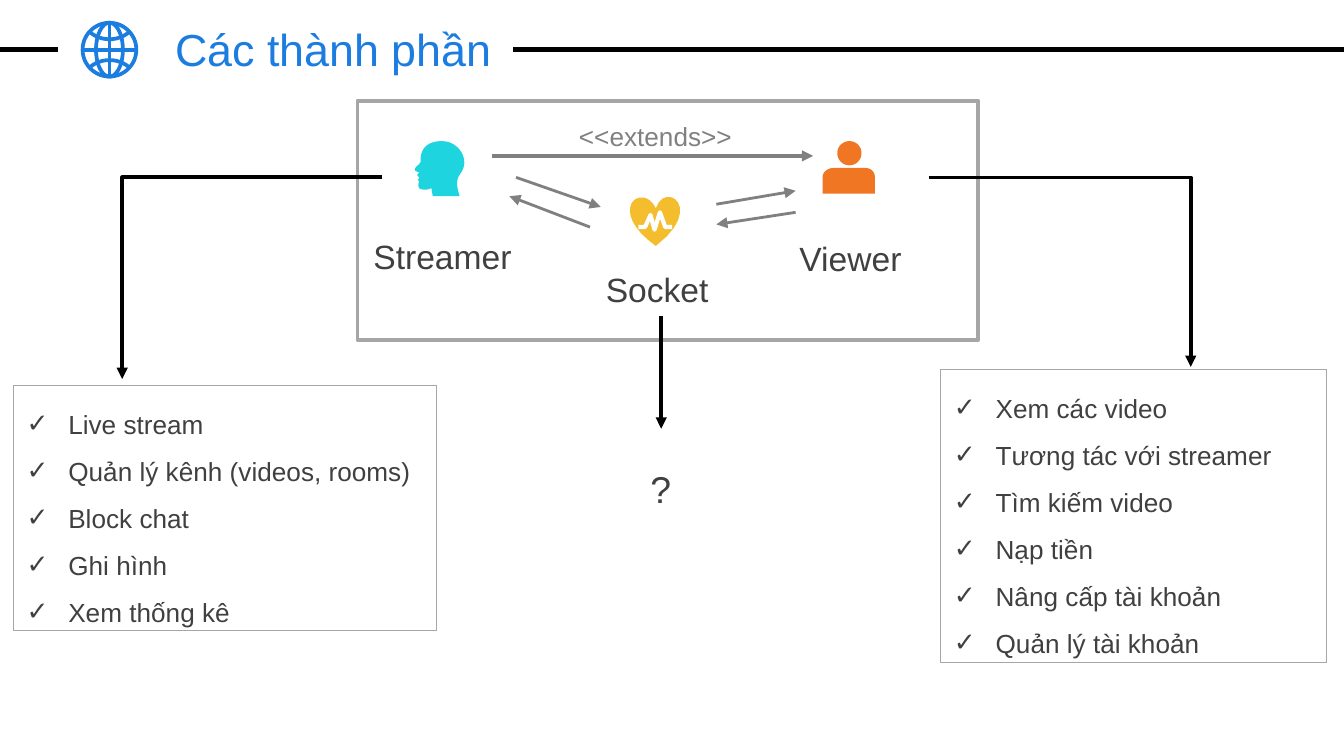
from math import cos, pi, sin

from lxml.etree import SubElement
from pptx import Presentation
from pptx.dml.color import RGBColor
from pptx.enum.shapes import MSO_CONNECTOR, MSO_SHAPE
from pptx.enum.text import MSO_ANCHOR, PP_ALIGN
from pptx.oxml.ns import qn
from pptx.util import Pt

PX = 9144  # 100 px to the inch
BLACK = RGBColor(0x00, 0x00, 0x00)
WHITE = RGBColor(0xFF, 0xFF, 0xFF)
BLUE = RGBColor(0x1C, 0x7D, 0xE1)
CYAN = RGBColor(0x1E, 0xD4, 0xDE)
ORANGE = RGBColor(0xF0, 0x76, 0x24)
YELLOW = RGBColor(0xF4, 0xBD, 0x2D)
DARK = RGBColor(0x40, 0x40, 0x40)
GREY = RGBColor(0x80, 0x80, 0x80)
FRAME = RGBColor(0xA6, 0xA6, 0xA6)

prs = Presentation()
prs.slide_width = 1000 * PX
prs.slide_height = prs.slide_width * 9 // 16
s = prs.slides.add_slide(prs.slide_layouts[6])


def add_text(box, lines, size, color, spacing=1.5, bullet=None):
    sp = s.shapes.add_textbox(*[v * PX for v in box])
    tf = sp.text_frame
    tf.word_wrap = True
    for i, line in enumerate(lines):
        p = tf.paragraphs[0] if i == 0 else tf.add_paragraph()
        p.line_spacing = spacing
        if bullet:
            pPr = p._p.get_or_add_pPr()
            pPr.set("marL", str(31 * PX))
            pPr.set("indent", str(-31 * PX))
            SubElement(pPr, qn("a:buFont"), typeface="Arial")
            SubElement(pPr, qn("a:buChar"), char=bullet)
        r = p.add_run()
        r.text = line
        r.font.name, r.font.size = "Arial", Pt(size)
        r.font.color.rgb = color
    return sp


def add_outline(contours, fill=None, line=None, width=2):
    """Draw contours of points; a six-number entry is a cubic curve."""
    fb = None
    for start, *steps in contours:
        points = [start]
        for step in steps:
            if len(step) == 2:
                points.append(step)
                continue
            x0, y0 = points[-1]
            x1, y1, x2, y2, x3, y3 = step
            for t in [k / 12 for k in range(1, 13)]:
                a, b, c, d = (1 - t) ** 3, 3 * t * (1 - t) ** 2, 3 * t * t * (1 - t), t ** 3
                points.append((a * x0 + b * x1 + c * x2 + d * x3,
                               a * y0 + b * y1 + c * y2 + d * y3))
        points = [(round(x * PX), round(y * PX)) for x, y in points]
        if fb is None:
            fb = s.shapes.build_freeform(*points[0], scale=1.0)
        else:
            fb.move_to(*points[0])
        fb.add_line_segments(points[1:], close=fill is not None)
    sp = fb.convert_to_shape()
    sp.shadow.inherit = False
    if fill is None:
        sp.fill.background()
        sp.line.color.rgb, sp.line.width = line, Pt(width)
    else:
        sp.fill.solid()
        sp.fill.fore_color.rgb = fill
        sp.line.fill.background()


# Title and globe
title = add_text((78, 3, 340, 67), ["Các thành phần"], 24, BLUE, spacing=1)
title.text_frame.vertical_anchor = MSO_ANCHOR.MIDDLE
title.text_frame.paragraphs[0].alignment = PP_ALIGN.CENTER

cx, cy, radius = 81.5, 37, 20
rings = [[(cx + rx * cos(k * pi / 30), cy + radius * sin(k * pi / 30)) for k in range(61)]
         for rx in (radius, 10)]
add_outline(rings + [
    [(cx, cy - radius), (cx, cy + radius)],
    [(cx - radius, cy), (cx + radius, cy)],
    [(67, 24), (75, 31, 88, 31, 96, 24)],
    [(67, 50), (75, 43, 88, 43, 96, 50)],
], line=BLUE)

# Frame around the three actors
frame = s.shapes.add_shape(MSO_SHAPE.RECTANGLE, 266 * PX, 75 * PX, 462 * PX, 178 * PX)
frame.shadow.inherit = False
frame.fill.solid()
frame.fill.fore_color.rgb = WHITE
frame.line.color.rgb, frame.line.width = FRAME, Pt(2)

# Streamer: head in profile
add_outline([[
    (329, 105), (321, 105, 316, 108, 314, 113), (312, 118, 314, 120, 312, 122),
    (310, 124, 308, 125, 309, 127), (309, 127, 310, 128, 312, 128),
    (311, 129, 310, 131, 311, 131), (312, 132), (312, 133, 311, 133, 311, 134),
    (311, 134, 312, 135, 312, 135), (311, 137, 311, 139, 312, 140),
    (313, 141, 317, 142, 321, 140), (322, 146), (342, 146),
    (339, 137, 340, 133, 342, 130), (351, 119, 341, 105, 329, 105),
]], fill=CYAN)

# Viewer: head and shoulders
add_outline([
    [(620, 125), (644, 125), (648, 125, 651, 128, 651, 132), (651, 144), (612, 144),
     (612, 132), (612, 128, 616, 125, 620, 125)],
    [(632, 105), (637, 105, 641, 109, 641, 114), (641, 119, 637, 123, 632, 123),
     (627, 123, 623, 119, 623, 114), (623, 109, 627, 105, 632, 105)],
], fill=ORANGE)

# Socket: heart with a pulse
add_outline([[(478, 147), (481, 147, 485, 149, 488, 155), (495, 134, 525, 155, 488, 183),
              (460, 163, 468, 146, 478, 147)]], fill=YELLOW)
add_outline([[(475, 169), (480, 169), (484, 160), (487, 171), (491, 158), (495, 169),
              (500, 169)]], line=WHITE, width=2.25)

for box, label, size, color in [
    ((268, 156, 128, 50), "Streamer", 18, DARK),
    ((585, 157, 140, 50), "Viewer", 18, DARK),
    ((441, 180, 140, 50), "Socket", 18, DARK),
    ((421, 73, 143, 41), "<<extends>>", 14, GREY),
    ((474, 325, 58, 54), "?", 20, DARK),
]:
    add_text(box, [label], size, color)

# Feature lists
for box, features in [
    ((10, 287, 315, 182), ["Live stream", "Quản lý kênh (videos, rooms)", "Block chat",
                           "Ghi hình", "Xem thống kê"]),
    ((700, 275, 287, 218), ["Xem các video", "Tương tác với streamer", "Tìm kiếm video",
                            "Nạp tiền", "Nâng cấp tài khoản", "Quản lý tài khoản"]),
]:
    sp = add_text(box, features, 14, DARK, bullet="✓")
    sp.line.color.rgb, sp.line.width = FRAME, Pt(0.75)

# Rules and arrows
STRAIGHT, ELBOW = MSO_CONNECTOR.STRAIGHT, MSO_CONNECTOR.ELBOW
for kind, ends, color, width, arrow in [
    (STRAIGHT, (0, 37, 43, 37), BLACK, 2.5, False),
    (STRAIGHT, (382, 37, 1000, 37), BLACK, 2.5, False),
    (ELBOW, (284, 132, 91, 282), BLACK, 2, True),
    (ELBOW, (691, 132, 886, 273), BLACK, 2, True),
    (STRAIGHT, (492, 235, 492, 319), BLACK, 2, True),
    (STRAIGHT, (366, 116, 605, 116), GREY, 2, True),
    (STRAIGHT, (384, 132, 447, 154), GREY, 1.5, True),
    (STRAIGHT, (439, 169, 379, 146), GREY, 1.5, True),
    (STRAIGHT, (533, 152, 592, 142), GREY, 1.5, True),
    (STRAIGHT, (592, 158, 533, 167), GREY, 1.5, True),
]:
    c = s.shapes.add_connector(kind, *[v * PX for v in ends])
    c.line.color.rgb, c.line.width = color, Pt(width)
    spPr = c._element.spPr
    if arrow:
        SubElement(spPr.find(qn("a:ln")), qn("a:tailEnd"), type="triangle")
    if kind == ELBOW:
        guides = spPr.find(qn("a:prstGeom")).get_or_add_avLst()
        SubElement(guides, qn("a:gd"), name="adj1", fmla="val 100000")
    SubElement(spPr, qn("a:effectLst"))

prs.save("out.pptx")
